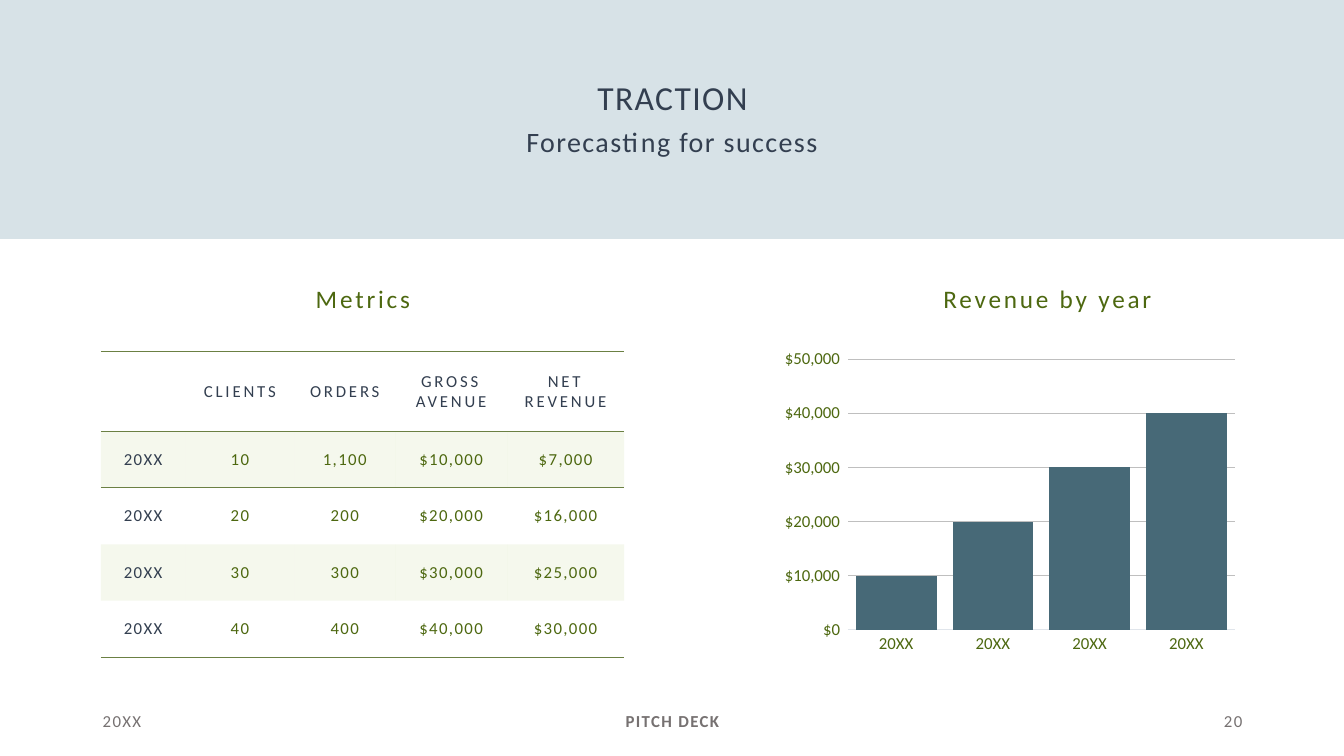
from lxml import etree
from pptx import Presentation, util as u
from pptx.chart import data
from pptx.dml.color import RGBColor
from pptx.enum import chart as ch, shapes, text
from pptx.oxml import ns

NAVY, OLIVE, GREY, RULE = "333F50", "4D6810", "767171", "6B8043"
LEFT, CENTER, RIGHT = text.PP_ALIGN.LEFT, text.PP_ALIGN.CENTER, text.PP_ALIGN.RIGHT


def rgb(value):
    return RGBColor.from_string(value)


def style(tf, size, color, spacing, align=CENTER, bold=False, anchor=text.MSO_ANCHOR.MIDDLE):
    tf.word_wrap = True
    tf.vertical_anchor = anchor
    for p in tf.paragraphs:
        p.alignment = align
        for r in p.runs:
            r.font.name = "Calibri"
            r.font.size = u.Pt(size)
            r.font.bold = bold
            r.font.color.rgb = rgb(color)
            r.font._element.set("spc", str(spacing * 100))


prs = Presentation()
prs.slide_width, prs.slide_height = u.Inches(13.33), u.Inches(7.5)
s = prs.slides.add_slide(prs.slide_layouts[5])

band = s.shapes.add_shape(shapes.MSO_SHAPE.RECTANGLE, 0, 0, prs.slide_width, u.Inches(2.37))
band.shadow.inherit = False
band.fill.solid()
band.fill.fore_color.rgb = rgb("D7E2E7")
band.line.fill.background()
s.shapes._spTree.insert(2, band._element)

title = s.shapes.title
title.left, title.top, title.width, title.height = [u.Inches(v) for v in (4.42, 0.66, 4.5, 0.66)]
title.text_frame.text = "TRACTION"
style(title.text_frame, 24, NAVY, 1)
title.text_frame.paragraphs[0].line_spacing = 0.9

headings = [
    ("Forecasting for success", 4.77, 1.11, 3.79, 0.62, 20, NAVY, 1, text.MSO_ANCHOR.MIDDLE),
    ("Metrics", 1, 2.8, 5.2, 0.49, 18, OLIVE, 2, text.MSO_ANCHOR.TOP),
    ("Revenue by year", 8.46, 2.8, 3.86, 0.49, 18, OLIVE, 2, text.MSO_ANCHOR.TOP),
]
for words, x, y, w, h, size, color, spacing, anchor in headings:
    tf = s.shapes.add_textbox(*[u.Inches(v) for v in (x, y, w, h)]).text_frame
    tf.text = words
    style(tf, size, color, spacing, anchor=anchor)
    tf.paragraphs[0].line_spacing = 0.9
    tf.paragraphs[0].space_before = u.Pt(10)

rows = [
    ["", "CLIENTS", "ORDERS", "GROSS AVENUE", "NET REVENUE"],
    ["20XX", "10", "1,100", "$10,000", "$7,000"],
    ["20XX", "20", "200", "$20,000", "$16,000"],
    ["20XX", "30", "300", "$30,000", "$25,000"],
    ["20XX", "40", "400", "$40,000", "$30,000"],
]
last = len(rows) - 1
frame = s.shapes.add_table(5, 5, u.Inches(1), u.Inches(3.49), u.Inches(5.2), u.Inches(3.03))
table = frame.table
table.first_row = table.horz_banding = False
table._tbl.tblPr[0].text = "{2D5ABB26-0587-4C30-8999-92F81FD0307C}"
for column, width in zip(table.columns, (0.84, 1.08, 1, 1.11, 1.16)):
    column.width = u.Inches(width)
for i, row in enumerate(rows):
    table.rows[i].height = u.Inches(0.56 if i else 0.79)
    for j, words in enumerate(row):
        cell = table.cell(i, j)
        cell.text = words
        cell.vertical_anchor = text.MSO_ANCHOR.MIDDLE
        for p in cell.text_frame.paragraphs:
            p.font.size = u.Pt(12)
        style(cell.text_frame, 12, OLIVE if i and j else NAVY, 1 if i else 2)
        tcPr = cell._tc.get_or_add_tcPr()
        if i % 2:
            cell.fill.solid()
            cell.fill.fore_color.rgb = rgb("CFDCA5")
            tint = tcPr.find(".//" + ns.qn("a:srgbClr"))
            etree.SubElement(tint, ns.qn("a:alpha"), val="20000")
        else:
            cell.fill.background()
        edges = {0: ["a:lnB", "a:lnT"], 1: ["a:lnT"], last: ["a:lnB"]}.get(i, [])
        for edge in edges:
            ln = etree.Element(ns.qn(edge), w=str(u.Pt(1)))
            fill = etree.SubElement(ln, ns.qn("a:solidFill"))
            etree.SubElement(fill, ns.qn("a:srgbClr"), val=RULE)
            tcPr.insert(0, ln)

cd = data.CategoryChartData()
cd.categories = ["20XX"] * 4
cd.add_series("Series 1", [10000, 20000, 30000, 40000])
chart = s.shapes.add_chart(ch.XL_CHART_TYPE.COLUMN_CLUSTERED, u.Inches(7.69), u.Inches(3.4),
                           u.Inches(4.65), u.Inches(3.15), cd).chart
chart.has_legend = chart.has_title = False
chart.font.name, chart.font.size = "Calibri", u.Pt(10)
plot = chart.plots[0]
plot.vary_by_categories = False
plot.gap_width, plot.overlap = 20, -24
plot.series[0].format.fill.solid()
plot.series[0].format.fill.fore_color.rgb = rgb("476977")
years, dollars = chart.category_axis, chart.value_axis
for axis in (years, dollars):
    axis.major_tick_mark = axis.minor_tick_mark = ch.XL_TICK_MARK.NONE
    font = axis.tick_labels.font
    font.name, font.size = "Calibri", u.Pt(12)
    font.color.rgb = rgb(OLIVE)
dollars.minimum_scale, dollars.maximum_scale, dollars.major_unit = 0, 50000, 10000
dollars.tick_labels.number_format = '"$"#,##0_);[Red]\\("$"#,##0\\)'
dollars.tick_labels.number_format_is_linked = False
dollars.format.line.fill.background()
for line, color in ((years.format.line, "E0E5EB"), (dollars.major_gridlines.format.line, "BFBFBF")):
    line.color.rgb = rgb(color)
    line.width = u.Pt(0.75)

footers = [("20XX", 0.92, 3, LEFT, False), ("PITCH DECK", 4.42, 4.5, CENTER, True),
           ("20", 9.42, 3, RIGHT, False)]
for words, x, w, align, bold in footers:
    tf = s.shapes.add_textbox(u.Inches(x), u.Inches(6.95), u.Inches(w), u.Inches(0.4)).text_frame
    tf.text = words
    style(tf, 12, GREY, 1, align, bold)

prs.save("out.pptx")
